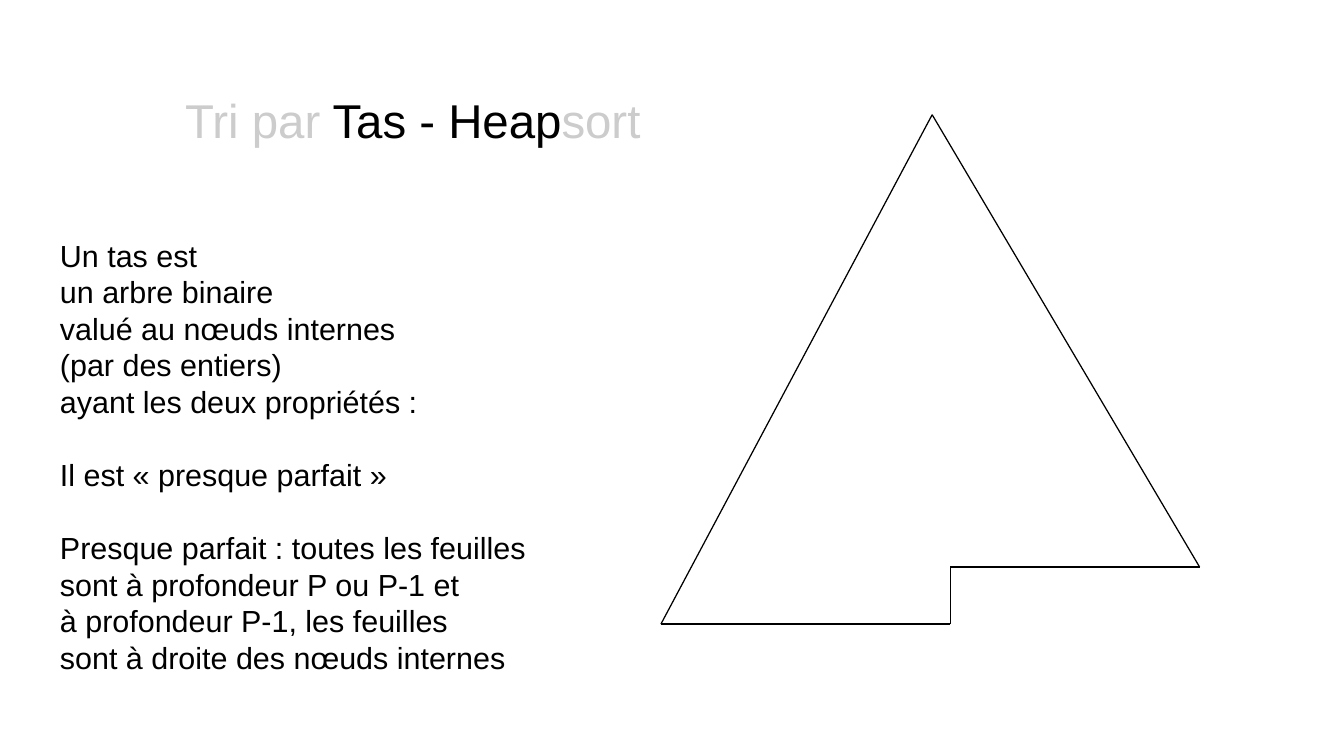
from lxml import etree
from pptx import Presentation
from pptx import util as u
from pptx.dml.color import RGBColor
from pptx.enum import shapes, text
from pptx.oxml.ns import qn

COLORS = {"ink": "000000", "faded": "CCCCCC"}
FONT = "Arial"
LINE_PITCH = u.Pt(21.6)

TITLE = [("Tri par", "faded"), (" Tas - Heap", "ink"), ("sort", "faded")]

# Each group of lines is set apart from the previous one by one line
DEFINITION = [
    ["Un tas est", "un arbre binaire", "valué au nœuds internes",
     "(par des entiers)", "ayant les deux propriétés :"],
    ["Il est « presque parfait »"],
    ["Presque parfait : toutes les feuilles", "sont à profondeur P ou P-1 et",
     "à profondeur P-1, les feuilles", "sont à droite des nœuds internes"],
]

# Corners of the heap outline in cm, from the root around to the left
HEAP_CORNERS = [(19.42, 2.39), (24.99, 11.81), (19.8, 11.81),
                (19.8, 13), (13.77, 13)]


def add_text_frame(slide, left, top, width, height, top_inset):
    box = slide.shapes.add_textbox(u.Cm(left), u.Cm(top), u.Cm(width), u.Cm(height))
    frame = box.text_frame
    frame.word_wrap = True
    frame.vertical_anchor = text.MSO_ANCHOR.TOP
    frame.margin_left = frame.margin_right = u.Cm(0.25)
    frame.margin_top, frame.margin_bottom = u.Cm(top_inset), u.Cm(0.13)
    return frame


def style_run(run, size, color):
    run.font.name = FONT
    run.font.size = u.Pt(size)
    run.font.color.rgb = RGBColor.from_string(COLORS[color])


def add_title(slide):
    heading = add_text_frame(slide, 3.61, 1.8, 15.19, 1.35, 0.2).paragraphs[0]
    heading.line_spacing = 0.93
    for words, color in TITLE:
        run = heading.add_run()
        run.text = words
        style_run(run, 28, color)


def add_definition(slide):
    frame = add_text_frame(slide, 1, 4.8, 12.5, 9.4, 0.13)
    frame.text = "\n".join(line for group in DEFINITION for line in group)
    group_starts = {sum(map(len, DEFINITION[:i])) for i in range(1, len(DEFINITION))}
    for index, line in enumerate(frame.paragraphs):
        line.line_spacing = LINE_PITCH
        if index in group_starts:
            line.space_before = LINE_PITCH
        style_run(line.runs[0], 18, "ink")


def add_edge(slide, start, end):
    edge = slide.shapes.add_connector(
        shapes.MSO_CONNECTOR.STRAIGHT, *(u.Cm(v) for v in (*start, *end)))
    edge.line.width = u.Pt(0.75)
    edge.line.color.rgb = RGBColor.from_string(COLORS["ink"])
    etree.SubElement(edge._element.spPr, qn("a:effectLst"))


def main():
    deck = Presentation()
    deck.slide_width, deck.slide_height = u.Cm(28), u.Cm(15.75)
    slide = deck.slides.add_slide(deck.slide_layouts[6])

    # Title and definition
    add_title(slide)
    add_definition(slide)

    # Almost perfect tree
    for start, end in zip(HEAP_CORNERS, HEAP_CORNERS[1:] + HEAP_CORNERS[:1]):
        add_edge(slide, start, end)

    deck.save("out.pptx")


if __name__ == "__main__":
    main()
